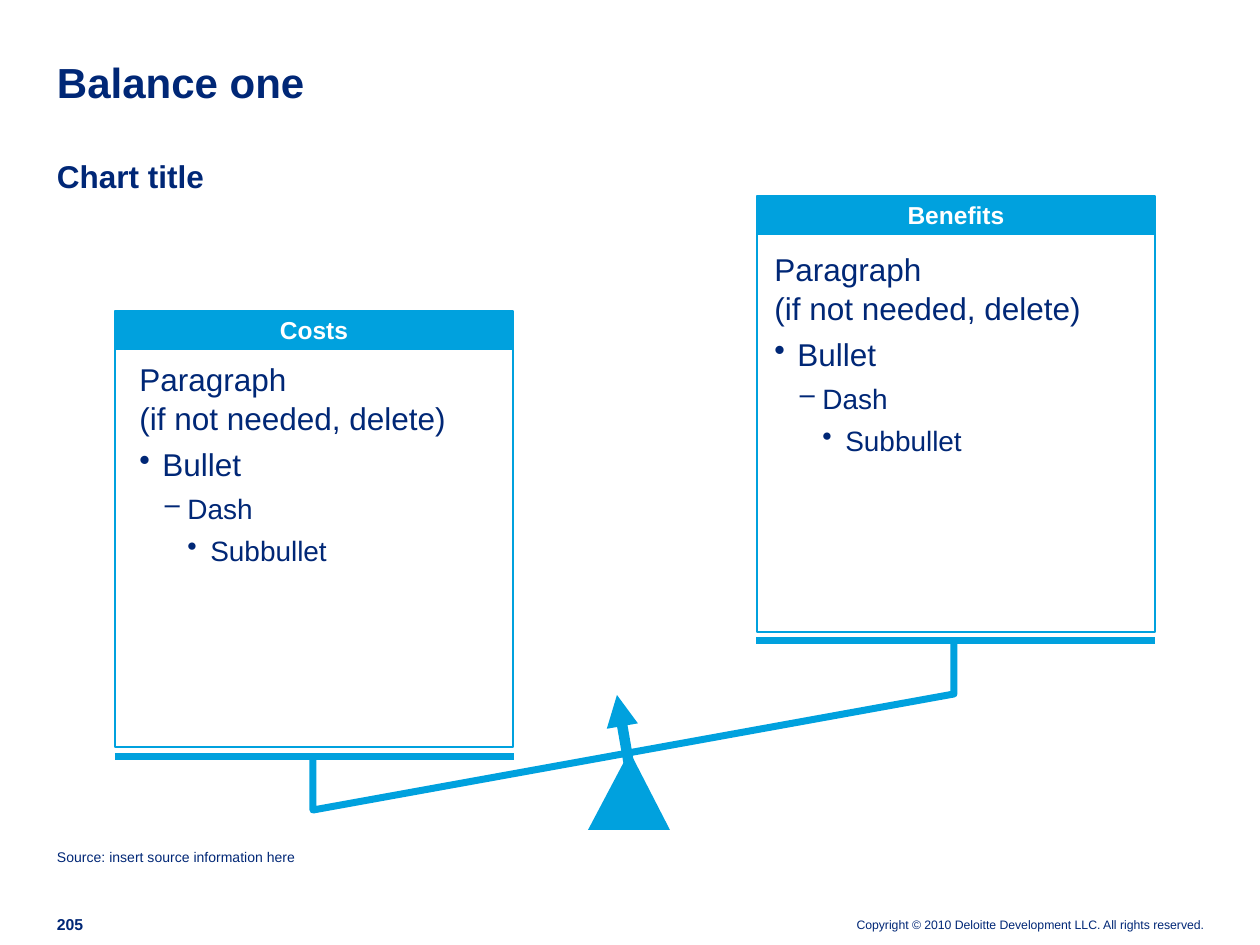
from lxml import etree
from pptx import Presentation
from pptx import util as u
from pptx.dml.color import RGBColor
from pptx.enum import shapes, text
from pptx.oxml.ns import qn

PX = 914400 / 126
NAVY, BLUE, WHITE = "002776", "00A1DE", "FFFFFF"
LEFT, TOP = text.PP_ALIGN.LEFT, text.MSO_ANCHOR.TOP
LIST = [
    ("Paragraph \v(if not needed, delete)", 18, None, 0, 0),
    ("Bullet", 18, "•", 23, -23),
    ("Dash", 16, "‒", 48, -24),
    ("Subbullet", 16, "•", 71, -23),
]


def emu(n):
    """Turn px into EMU."""
    return u.Emu(round(n * PX))


def tint(code):
    """Turn a hex string into a colour."""
    return RGBColor.from_string(code)


def style(para, size, color=NAVY, bold=False):
    """Set the font of a paragraph."""
    font = para.font
    font.name, font.size, font.bold = "Arial", u.Pt(size), bold
    font.color.rgb = tint(color)


def label(slide, box, words, size, bold=False, align=LEFT, anchor=TOP):
    """Add one line of text without margins."""
    frame = slide.shapes.add_textbox(*map(emu, box)).text_frame
    frame.word_wrap = True
    frame.margin_left = frame.margin_top = 0
    frame.margin_right = frame.margin_bottom = 0
    frame.vertical_anchor = anchor
    para = frame.paragraphs[0]
    para.text, para.alignment = words, align
    style(para, size, bold=bold)
    return para


def paint(shape, fill=None, line=None, width=1):
    """Set fill and outline of a shape."""
    shape.shadow.inherit = False
    if fill:
        shape.fill.solid()
        shape.fill.fore_color.rgb = tint(fill)
    else:
        shape.fill.background()
    if line:
        shape.line.color.rgb = tint(line)
        shape.line.width = u.Pt(width)
    else:
        shape.line.fill.background()


def rect(slide, box, fill=None):
    """Add a blue-edged rectangle."""
    shape = slide.shapes.add_shape(shapes.MSO_SHAPE.RECTANGLE, *map(emu, box))
    paint(shape, fill, BLUE)
    return shape


def outline(slide, pts, close, **look):
    """Add a freeform through the given points."""
    form = slide.shapes.build_freeform(*pts[0], scale=PX)
    form.add_line_segments(pts[1:], close=close)
    paint(form.convert_to_shape(), **look)


def line(slide, ends, width, arrow=False):
    """Add a straight blue line."""
    link = slide.shapes.add_connector(
        shapes.MSO_CONNECTOR.STRAIGHT, *map(emu, ends))
    link.line.color.rgb = tint(BLUE)
    link.line.width = u.Pt(width)
    props = link._element.spPr
    if arrow:
        etree.SubElement(props.find(qn("a:ln")), qn("a:tailEnd"), type="triangle")
    etree.SubElement(props, qn("a:effectLst"))


def bullets(slide, x, y):
    """Add the nested list."""
    frame = slide.shapes.add_textbox(*map(emu, (x, y, 386, 217))).text_frame
    frame.word_wrap = True
    for i, (words, size, mark, left, hang) in enumerate(LIST):
        para = frame.add_paragraph() if i else frame.paragraphs[0]
        para.text, para.level, para.line_spacing = words, i, 1.04
        if i:
            para.space_before = u.Pt(4)
        props = para._p.get_or_add_pPr()
        props.set("marL", str(emu(left)))
        props.set("indent", str(emu(hang)))
        if mark:
            etree.SubElement(props, qn("a:buChar"), char=mark)
        style(para, size)


def panel(slide, x, y, words):
    """Add a header bar above an empty frame."""
    head = rect(slide, (x, y, 398, 38), BLUE)
    frame = head.text_frame
    frame.margin_top = frame.margin_bottom = emu(5)
    frame.vertical_anchor = text.MSO_ANCHOR.MIDDLE
    para = frame.paragraphs[0]
    para.text, para.alignment = words, text.PP_ALIGN.CENTER
    style(para, 14, WHITE, True)
    rect(slide, (x, y + 38, 398, 398))


def main():
    """Build the balance slide."""
    deck = Presentation()
    deck.slide_width, deck.slide_height = u.Inches(10), u.Inches(7.5)
    slide = deck.slides.add_slide(deck.slide_layouts[6])
    low = text.MSO_ANCHOR.BOTTOM
    label(slide, (822, 917, 382, 15),
          "Copyright © 2010 Deloitte Development LLC. All rights reserved.",
          7, align=text.PP_ALIGN.RIGHT, anchor=low)
    label(slide, (57, 915, 37, 19), "205", 9, True, anchor=low)
    title = label(slide, (57, 62, 1148, 45), "Balance one", 24, True, anchor=low)
    title.line_spacing = u.Pt(26)
    outline(slide, [(588, 830), (626, 758), (633, 758), (670, 830)], True, fill=BLUE)
    for x, y in ((115, 757), (756, 641)):
        line(slide, (x, y, x + 399, y), 4)
    outline(slide, [(313, 757), (313, 810), (954, 694), (954, 641)], False,
            line=BLUE, width=4)
    line(slide, (635, 799, 617, 695), 6, True)
    panel(slide, 115, 311, "Costs")
    panel(slide, 757, 196, "Benefits")
    label(slide, (57, 848, 551, 18), "Source: insert source information here", 8)
    label(slide, (57, 157, 270, 38), "Chart title", 18, True)
    bullets(slide, 127, 352)
    bullets(slide, 762, 242)
    deck.save("out.pptx")


if __name__ == "__main__":
    main()
